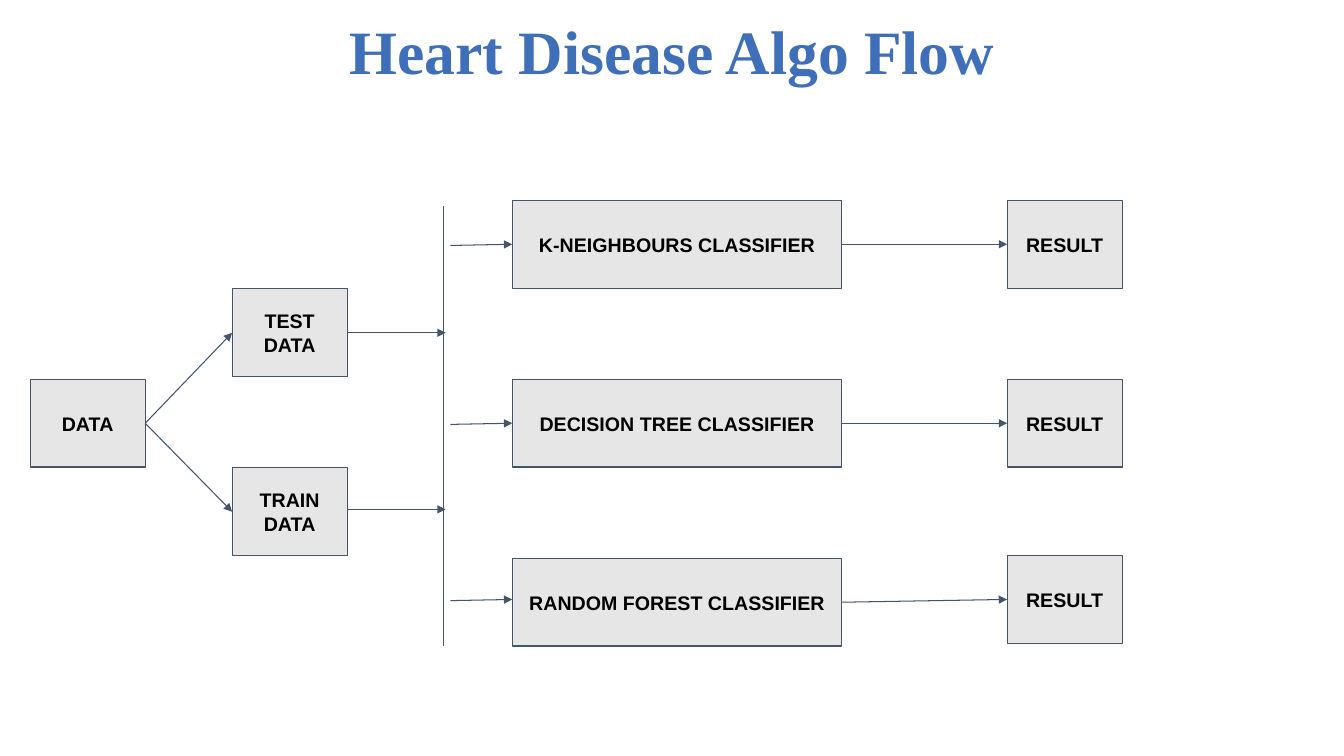
from lxml import etree
from pptx import Presentation
from pptx import util as u
from pptx.dml.color import RGBColor
from pptx.enum import shapes, text
from pptx.oxml.ns import qn

BLUE = RGBColor(0x40, 0x6F, 0xBA)
SLATE = RGBColor(0x44, 0x54, 0x6A)
GREY = RGBColor(0xE7, 0xE6, 0xE6)
BLACK = RGBColor(0, 0, 0)

# Lengths in cm
WIDE, HIGH = 2.9, 2.21
MID = HIGH / 2
LEFT, RIGHT = 1, 3  # connection sites of a rectangle


def write(frame, words, font="Arial", size=14, color=BLACK, space=None):
    frame.word_wrap = True
    frame.auto_size = text.MSO_AUTO_SIZE.NONE
    frame.vertical_anchor = text.MSO_ANCHOR.MIDDLE
    para = frame.paragraphs[0]
    para.alignment = text.PP_ALIGN.CENTER
    para.line_spacing = space
    run = para.add_run()
    run.text = words
    run.font.name, run.font.size, run.font.bold = font, u.Pt(size), True
    run.font.color.rgb = color


def node(slide, words, x, y, wide=WIDE):
    box = slide.shapes.add_shape(shapes.MSO_SHAPE.RECTANGLE,
                                 u.Cm(x), u.Cm(y), u.Cm(wide), u.Cm(HIGH))
    box.shadow.inherit = False
    box.fill.solid()
    box.fill.fore_color.rgb = GREY
    box.line.color.rgb = SLATE
    box.line.width = u.Pt(0.75)
    frame = box.text_frame
    frame.margin_left = frame.margin_right = u.Cm(0.25)
    frame.margin_top = frame.margin_bottom = u.Cm(0.25)
    write(frame, words)
    return box


def line(slide, x1, y1, x2, y2, head=True):
    rule = slide.shapes.add_connector(shapes.MSO_CONNECTOR.STRAIGHT,
                                      u.Cm(x1), u.Cm(y1), u.Cm(x2), u.Cm(y2))
    rule.line.color.rgb = SLATE
    rule.line.width = u.Pt(0.75)
    if head:
        etree.SubElement(rule.line._get_or_add_ln(), qn("a:tailEnd"), type="triangle")
    etree.SubElement(rule._element.spPr, qn("a:effectLst"))
    return rule


def link(slide, start, end):
    """Arrow from the right edge of one box to the left edge of the next."""
    rule = line(slide, 0, 0, 1, 1)
    rule.begin_connect(start, RIGHT)
    rule.end_connect(end, LEFT)


def heading(slide, words, x, y, wide, high):
    title = slide.shapes.title
    title.left, title.top = u.Cm(x), u.Cm(y)
    title.width, title.height = u.Cm(wide), u.Cm(high)
    write(title.text_frame, words, font="Times New Roman", size=44,
          color=BLUE, space=0.9)


def split(slide, x, y, wide):
    """Data box, its two parts, and their arrows to the right edge."""
    data = node(slide, "DATA", x, y + 2.28)
    part = x + 5.09
    for i, words in enumerate(["TEST DATA", "TRAIN DATA"]):
        top = y + i * 4.51
        link(slide, data, node(slide, words, part, top))
        mid = top + MID - i * 0.06
        line(slide, part + WIDE, mid, x + wide, mid)


def models(slide, x, y, wide, high):
    """Dividing bar, then a classifier and a result in each row."""
    line(slide, x, y + 0.15, x, y + high, head=False)
    # Row tops: classifier, result
    rows = [("K-NEIGHBOURS", 0, 0), ("DECISION TREE", 4.51, 4.51),
            ("RANDOM FOREST", 9.02, 8.95)]
    left = x + 1.73
    for name, down, drop in rows:
        model = node(slide, f"{name} CLASSIFIER", left, y + down, wide=8.31)
        result = node(slide, "RESULT", x + wide - WIDE, y + drop)
        mid = y + drop + MID
        line(slide, x + 0.17, mid + 0.03, left, mid)
        link(slide, model, result)


def main():
    deck = Presentation()
    deck.slide_width, deck.slide_height = u.Cm(33.87), u.Cm(19.05)
    slide = deck.slides.add_slide(deck.slide_layouts[5])
    heading(slide, "Heart Disease Algo Flow", 2.34, -0.46, 29.21, 3.68)
    split(slide, 0.76, 7.28, 10.47)
    models(slide, 11.18, 5.05, 17.1, 11.23)
    deck.save("out.pptx")


if __name__ == "__main__":
    main()
